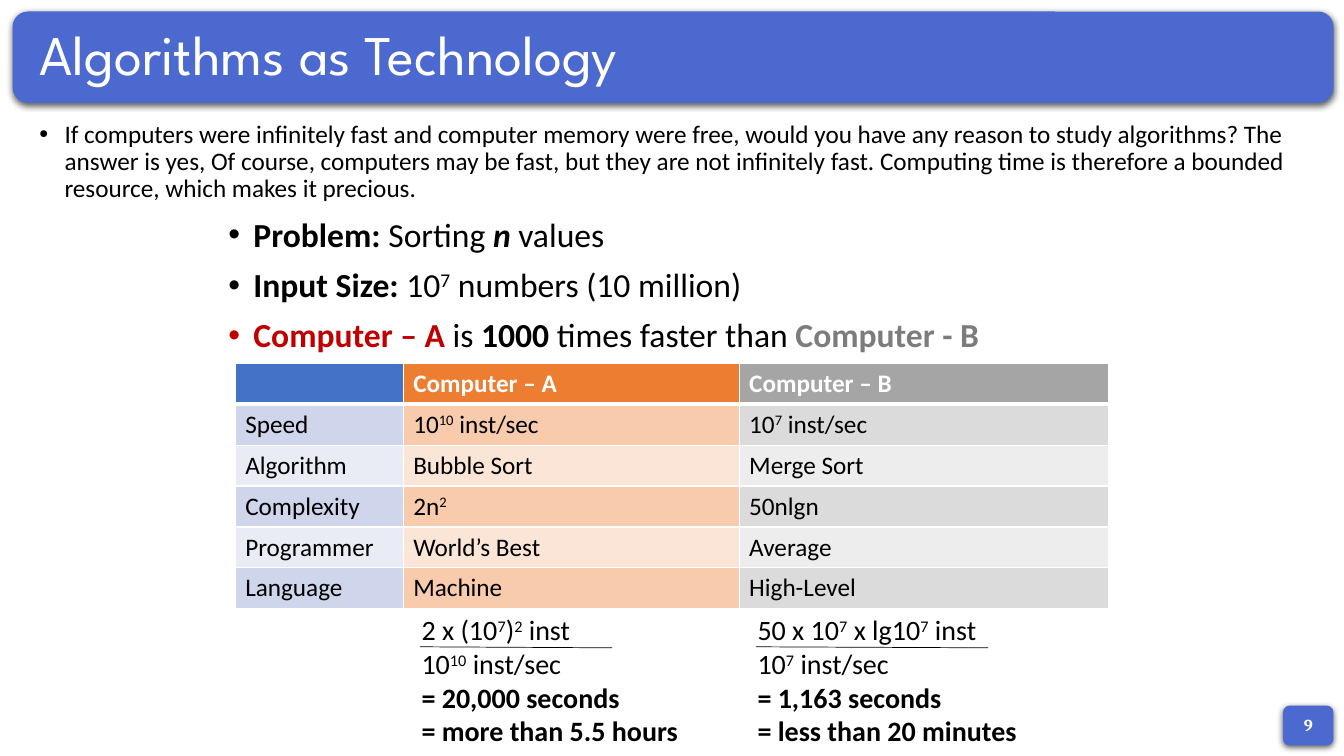
from dataclasses import dataclass

from lxml import etree
from pptx import Presentation
from pptx.dml.color import RGBColor
from pptx.enum.shapes import MSO_CONNECTOR, MSO_SHAPE
from pptx.enum.text import MSO_ANCHOR, PP_ALIGN
from pptx.oxml import parse_xml
from pptx.oxml.ns import nsdecls, qn
from pptx.util import Pt

EMU_PER_PX = 9525
BLANK_LAYOUT = 6
STRAIGHT = MSO_CONNECTOR.STRAIGHT
ROUNDED = MSO_SHAPE.ROUNDED_RECTANGLE
TOP, MIDDLE = MSO_ANCHOR.TOP, MSO_ANCHOR.MIDDLE
LEFT, CENTER = PP_ALIGN.LEFT, PP_ALIGN.CENTER


@dataclass(frozen=True)
class Theme:
    body_font: str = "Calibri"
    title_font: str = "League Spartan"
    number_font: str = "Cambria"
    title_size: int = 40
    point_size: int = 24
    result_size: int = 20
    body_size: int = 18
    number_size: int = 12
    accent: str = "4C69D0"
    black: str = "000000"
    white: str = "FFFFFF"
    red: str = "C00000"
    gray: str = "7C7C7C"
    # Per table column: header, odd row, even row
    columns: tuple = (("4472C4", "CFD5EA", "E9EBF5"),
                      ("ED7D31", "F8CBAD", "FBE5D6"),
                      ("A5A5A5", "DBDBDB", "EDEDED"))


THEME = Theme()


def px(value):
    return value * EMU_PER_PX


def text(content, **form):
    """One run: content with bold, italic, color, raised, size or font."""
    return content, form


def power(base, exponent):
    return [text(base), text(exponent, raised=True)]


class SlideBuilder:
    def __init__(self, presentation, theme):
        self.theme = theme
        layout = presentation.slide_layouts[BLANK_LAYOUT]
        self.slide = presentation.slides.add_slide(layout)
        self.shapes = self.slide.shapes

    def add_runs(self, paragraph, runs, **defaults):
        for content, form in runs:
            style = {**defaults, **form}
            run = paragraph.add_run()
            run.text = content
            font = run.font
            font.name = style.get("font", self.theme.body_font)
            font.size = Pt(style.get("size", self.theme.body_size))
            font.bold = style.get("bold", False)
            font.italic = style.get("italic", False)
            font.color.rgb = RGBColor.from_string(style.get("color", self.theme.black))
            if style.get("raised"):
                run._r.get_or_add_rPr().set("baseline", "30000")

    def text_box(self, box, paragraphs, anchor=TOP, align=LEFT, spacing=None,
                 bullets=False, **defaults):
        frame = self.shapes.add_textbox(*map(px, box)).text_frame
        frame.word_wrap = True
        frame.vertical_anchor = anchor
        for index, runs in enumerate(paragraphs):
            paragraph = frame.add_paragraph() if index else frame.paragraphs[0]
            paragraph.alignment = align
            if spacing:
                paragraph.line_spacing = spacing
            if bullets:
                paragraph.space_before = Pt(10)
                self.add_bullet(paragraph)
            self.add_runs(paragraph, runs, **defaults)

    def add_bullet(self, paragraph):
        properties = paragraph._p.get_or_add_pPr()
        properties.set("marL", str(px(24)))
        properties.set("indent", str(px(-24)))
        etree.SubElement(properties, qn("a:buFont"), typeface="Arial")
        etree.SubElement(properties, qn("a:buChar"), char="•")

    def panel(self, box):
        shape = self.shapes.add_shape(ROUNDED, *map(px, box))
        shape.fill.solid()
        shape.fill.fore_color.rgb = RGBColor.from_string(self.theme.accent)
        shape.line.fill.background()
        shape._element.spPr.append(parse_xml(
            f'<a:effectLst {nsdecls("a")}>'
            '<a:outerShdw blurRad="57150" dist="19050" dir="5400000" algn="ctr" rotWithShape="0">'
            f'<a:srgbClr val="{self.theme.black}"><a:alpha val="63000"/></a:srgbClr>'
            '</a:outerShdw></a:effectLst>'))

    def line(self, start, end):
        connector = self.shapes.add_connector(STRAIGHT, *map(px, start + end))
        connector.line.color.rgb = RGBColor.from_string(self.theme.black)
        connector.line.width = Pt(0.5)
        etree.SubElement(connector._element.spPr, qn("a:effectLst"))

    def add_borders(self, cell, top, bottom):
        properties = cell._tc.get_or_add_tcPr()
        for side, width in (("L", 1), ("R", 1), ("T", top), ("B", bottom)):
            properties.append(parse_xml(
                f'<a:ln{side} {nsdecls("a")} w="{Pt(width)}"><a:solidFill>'
                f'<a:srgbClr val="{self.theme.white}"/></a:solidFill></a:ln{side}>'))

    def table(self, left, top, widths, row_height, rows):
        frame = self.shapes.add_table(len(rows), len(widths), px(left), px(top),
                                      px(sum(widths)), px(row_height * len(rows)))
        table = frame.table
        table.horz_banding = False
        for column, width in zip(table.columns, widths):
            column.width = px(width)
        for row_index, row in enumerate(rows):
            table.rows[row_index].height = px(row_height)
            header = row_index == 0
            shade = 0 if header else 2 - row_index % 2
            for column_index, runs in enumerate(row):
                cell = table.cell(row_index, column_index)
                self.add_borders(cell, 3 if row_index == 1 else 1, 3 if header else 1)
                cell.fill.solid()
                color = self.theme.columns[column_index][shade]
                cell.fill.fore_color.rgb = RGBColor.from_string(color)
                self.add_runs(cell.text_frame.paragraphs[0], runs, bold=header,
                              color=self.theme.white if header else self.theme.black)

    def calculation(self, left, rule_width, paragraphs):
        self.text_box((left, 579, 272, 139), paragraphs, size=self.theme.result_size)
        self.line((left + 8, 616), (left + 8 + rule_width, 617))


def main():
    presentation = Presentation()
    presentation.slide_width, presentation.slide_height = px(1280), px(720)
    builder = SlideBuilder(presentation, THEME)

    # Title banner and slide number
    builder.panel((1222, 672, 48, 38))
    builder.panel((12, 11, 1258, 87))
    builder.text_box((28, 24, 1225, 62), [[text("Algorithms as Technology")]],
                     anchor=MIDDLE, spacing=0.9, font=THEME.title_font,
                     size=THEME.title_size, color=THEME.white)
    builder.text_box((1222, 672, 48, 36), [[text("9")]], anchor=MIDDLE, align=CENTER,
                     font=THEME.number_font, size=THEME.number_size,
                     color=THEME.white, bold=True)

    # Introduction
    builder.text_box((28, 111, 1225, 538), [[text(
        "If computers were infinitely fast and computer memory were free, would you have "
        "any reason to study algorithms? The answer is yes, Of course, computers may be "
        "fast, but they are not infinitely fast. Computing time is therefore a bounded "
        "resource, which makes it precious.")]], spacing=0.9, bullets=True)

    # Problem statement
    builder.text_box((208, 203, 864, 136), [
        [text("Problem:", bold=True), text(" Sorting "),
         text("n", bold=True, italic=True), text(" values")],
        [text("Input Size:", bold=True), *power(" 10", "7"),
         text(" numbers (10 million)")],
        [text("Computer – A", bold=True, color=THEME.red), text(" is "),
         text("1000", bold=True), text(" times faster than "),
         text("Computer - B", bold=True, color=THEME.gray)],
    ], spacing=0.9, bullets=True, size=THEME.point_size)

    # Comparison table
    rate = text(" inst/sec")
    speed_a = [*power("10", "10"), rate]
    speed_b = [*power("10", "7"), rate]
    builder.table(224, 346, (160, 320, 352), 39, [
        [[], [text("Computer – A")], [text("Computer – B")]],
        [[text("Speed")], speed_a, speed_b],
        [[text("Algorithm")], [text("Bubble Sort")], [text("Merge Sort")]],
        [[text("Complexity")], power("2n", "2"), [text("50nlgn")]],
        [[text("Programmer")], [text("World’s Best")], [text("Average")]],
        [[text("Language")], [text("Machine")], [text("High-Level")]],
    ])

    # Running times
    builder.calculation(392, 183, [
        [*power("2 x (10", "7"), *power(")", "2"), text(" inst")],
        speed_a,
        [text("= 20,000 seconds", bold=True)],
        [text("= more than 5.5 hours", bold=True)],
    ])
    builder.calculation(712, 221, [
        [*power("50 x 10", "7"), *power(" x lg10", "7"), text(" inst")],
        speed_b,
        [text("= 1,163 seconds", bold=True)],
        [text("= less than 20 minutes", bold=True)],
    ])

    presentation.save("out.pptx")


if __name__ == "__main__":
    main()
